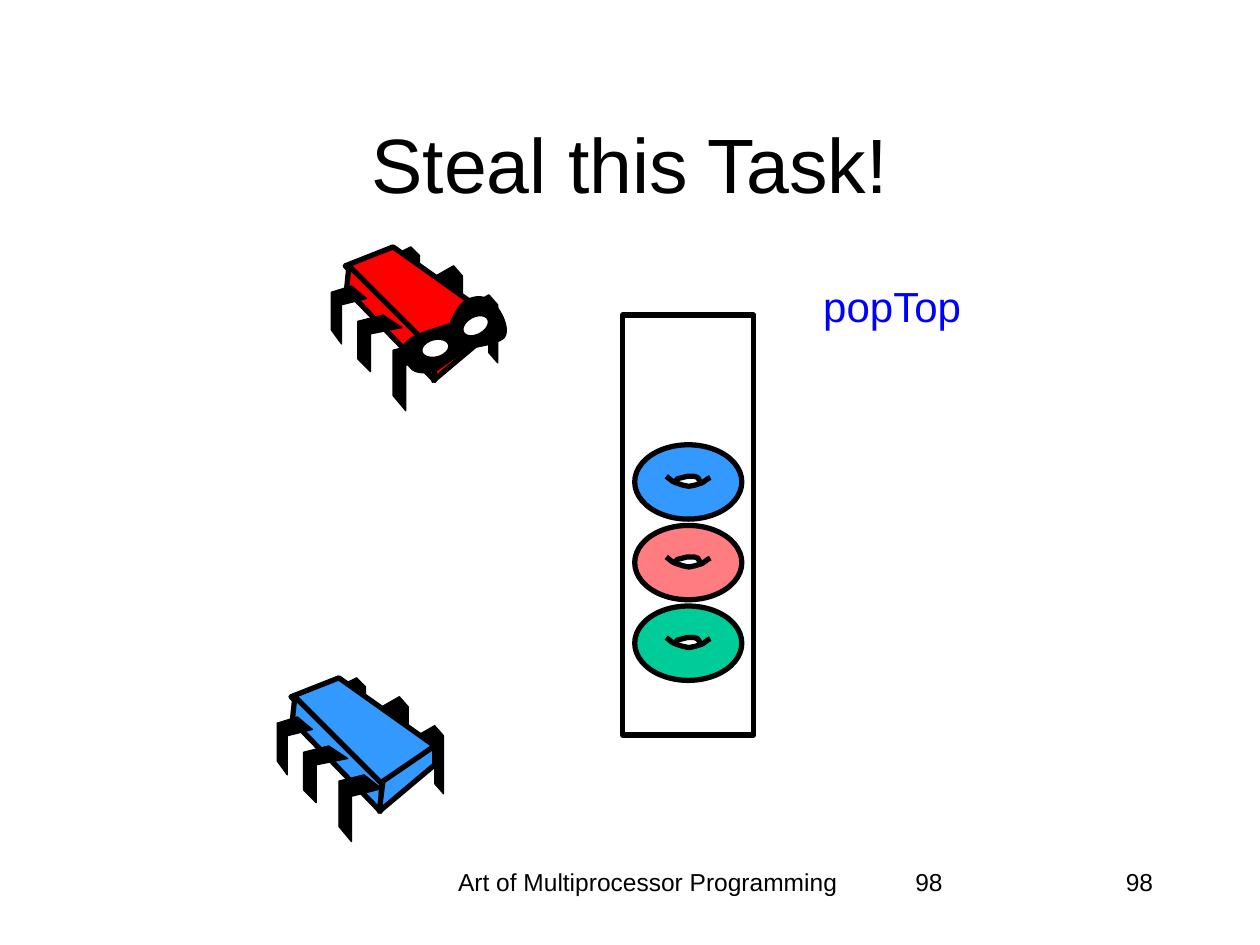
from dataclasses import dataclass

from pptx import Presentation
from pptx.dml.color import RGBColor
from pptx.enum.shapes import MSO_SHAPE
from pptx.enum.text import MSO_ANCHOR, PP_ALIGN
from pptx.util import Inches, Pt

COLORS = {
    "black": "000000", "white": "FFFFFF", "red": "FF0000", "blue": "3399FF",
    "pink": "FF7C80", "green": "00CC99", "call": "0000FF",
}
CELL = Inches(1) / 12  # the slide is a grid of 120 columns and 90 rows
THICK, THIN = 3, 0.75

# Chip outlines, on a grid of 132 columns and 131 rows
CHIP_GRID = (132, 131)
LONG_BACK_LEG = [(111, 46), (125, 38), (132, 46), (132, 92), (125, 84), (125, 54), (111, 61)]
BACK_LEGS = [
    LONG_BACK_LEG,
    [(x - 28, y - 23) for x, y in LONG_BACK_LEG],
    [(49, 7), (63, 0), (70, 7), (70, 46), (63, 39), (63, 13), (49, 20)],
]
CHIP_FACES = [
    [(49, 0), (125, 54), (82, 85), (11, 15)],
    [(14, 15), (83, 84), (82, 106), (12, 34)],
    [(125, 54), (125, 69), (81, 106), (84, 82)],
]
FRONT_LEGS = [
    [(69, 77), (83, 88), (59, 94), (59, 130), (49, 118), (49, 82)],
    [(41, 54), (56, 64), (31, 69), (31, 99), (21, 89), (21, 59)],
    [(16, 31), (28, 41), (8, 46), (8, 77), (0, 66), (0, 36)],
]
MASK_START = (95, 62)
MASK_CURVES = [
    [(88, 65), (69, 69), (61, 76)], [(55, 82), (59, 90), (65, 96)],
    [(71, 101), (84, 96), (84, 96)], [(84, 96), (108, 79), (108, 79)],
    [(108, 79), (131, 76), (136, 71)], [(140, 65), (134, 53), (129, 47)],
    [(122, 40), (116, 40), (109, 43)], [(102, 46), (99, 55), (97, 58)],
    [(94, 61), (103, 60), (95, 62)],
]
EYES = [((70, 72, 25, 17), 345.4), ((102, 54, 25, 17), 151.3)]

# Task outlines, on a grid of 85 columns and 59 rows
TASK_GRID = (85, 59)
HOLE = [(32, 30), (34, 31), (36, 32), (39, 32), (45, 33), (53, 32),
        (51, 29), (48, 26), (46, 25), (36, 26), (33, 28)]
UPPER_RIM = [(31, 30), (34, 27), (38, 26), (42, 25), (47, 25), (50, 26), (53, 31)]
LOWER_RIM = [(25, 25), (30, 29), (32, 30), (38, 32), (43, 33), (48, 32),
             (54, 30), (58, 27), (60, 26)]


@dataclass
class Box:
    """A rectangle in slide columns and rows."""
    left: float
    top: float
    width: float
    height: float

    def emu(self):
        return [round(side * CELL) for side in (self.left, self.top, self.width, self.height)]

    def point(self, position, grid):
        """Turn a position on the box's own grid into slide EMU."""
        return (round((self.left + position[0] / grid[0] * self.width) * CELL),
                round((self.top + position[1] / grid[1] * self.height) * CELL))

    def inner_box(self, area, grid):
        column, row = self.width / grid[0], self.height / grid[1]
        left, top, width, height = area
        return Box(self.left + left * column, self.top + top * row, width * column, height * row)


def color(name):
    return RGBColor.from_string(COLORS[name])


def paint(shape, fill, weight):
    shape.shadow.inherit = False
    if fill:
        shape.fill.solid()
        shape.fill.fore_color.rgb = color(fill)
    else:
        shape.fill.background()
    shape.line.color.rgb = color("black")
    shape.line.width = Pt(weight)


def add_preset(slide, box, kind, fill=None):
    shape = slide.shapes.add_shape(kind, *box.emu())
    paint(shape, fill, THICK)
    return shape


def add_outline(slide, box, grid, points, fill=None, weight=THICK, close=True):
    start, *rest = [box.point(point, grid) for point in points]
    builder = slide.shapes.build_freeform(*start, scale=1.0)
    builder.add_line_segments(rest, close=close)
    paint(builder.convert_to_shape(), fill, weight)


def add_text(slide, box, text, size, align=PP_ALIGN.LEFT, ink="black",
             anchor=MSO_ANCHOR.TOP, wrap=True):
    frame = slide.shapes.add_textbox(*box.emu()).text_frame
    frame.word_wrap = wrap
    frame.vertical_anchor = anchor
    frame.text = text
    paragraph = frame.paragraphs[0]
    paragraph.alignment = align
    font = paragraph.runs[0].font
    font.name, font.size, font.color.rgb = "Arial", Pt(size), color(ink)


def trace_curves(start, curves, steps=10):
    """Sample a chain of cubic curves into points."""
    points = [start]
    for curve in curves:
        controls = [points[-1], *curve]
        for step in range(1, steps + 1):
            t = step / steps
            weights = ((1 - t) ** 3, 3 * t * (1 - t) ** 2, 3 * t * t * (1 - t), t ** 3)
            points.append(tuple(sum(weight * control[axis]
                                    for weight, control in zip(weights, controls))
                                for axis in (0, 1)))
    return points


def add_chip(slide, box, fill):
    layers = [(BACK_LEGS, "black", THIN), (CHIP_FACES, fill, THICK), (FRONT_LEGS, "black", THIN)]
    for outlines, layer_fill, weight in layers:
        for points in outlines:
            add_outline(slide, box, CHIP_GRID, points, layer_fill, weight)


def add_mask(slide, box):
    """Put a thief's mask on the chip that fills the box."""
    add_outline(slide, box, CHIP_GRID, trace_curves(MASK_START, MASK_CURVES), "black")
    for area, angle in EYES:
        eye = add_preset(slide, box.inner_box(area, CHIP_GRID), MSO_SHAPE.OVAL, "white")
        eye.rotation = angle


def add_task(slide, box, fill):
    add_preset(slide, box, MSO_SHAPE.OVAL, fill)
    add_outline(slide, box, TASK_GRID, HOLE, "white", THIN)
    for rim in (UPPER_RIM, LOWER_RIM):
        add_outline(slide, box, TASK_GRID, rim, close=False)


def add_queue(slide, box, fills):
    """Draw the queue with its tasks stacked from the bottom up."""
    add_preset(slide, box, MSO_SHAPE.RECTANGLE)
    width, height, pitch = 10.2, 7.08, 7.68
    left = box.left + (box.width - width) / 2
    bottom_task = box.top + 27.72
    for level, fill in enumerate(fills):
        add_task(slide, Box(left, bottom_task - level * pitch, width, height), fill)


def add_footer(slide, box):
    number_box = Box(box.left + 45, box.top, 25, box.height)
    add_text(slide, Box(box.left, box.top, 41.4, box.height),
             "Art of Multiprocessor Programming", 14, PP_ALIGN.CENTER)
    for align in (PP_ALIGN.LEFT, PP_ALIGN.RIGHT):
        add_text(slide, number_box, "98", 14, align)


def main():
    presentation = Presentation()
    presentation.slide_width, presentation.slide_height = Inches(10), Inches(7.5)
    slide = presentation.slides.add_slide(presentation.slide_layouts[6])
    add_footer(slide, Box(41, 82, 70, 6))
    add_text(slide, Box(9, 8, 102, 15), "Steal this Task!", 44, PP_ALIGN.CENTER,
             anchor=MSO_ANCHOR.MIDDLE)
    add_chip(slide, Box(26.4, 64.56, 15.84, 15.72), "blue")
    add_text(slide, Box(77.04, 26.16, 15.84, 6), "popTop", 24, PP_ALIGN.CENTER, "call", wrap=False)
    add_queue(slide, Box(59.3, 30, 12.5, 40), ["green", "pink", "blue"])
    thief = Box(31.56, 23.52, 15.84, 15.72)
    add_chip(slide, thief, "red")
    add_mask(slide, thief)
    presentation.save("out.pptx")


if __name__ == "__main__":
    main()
